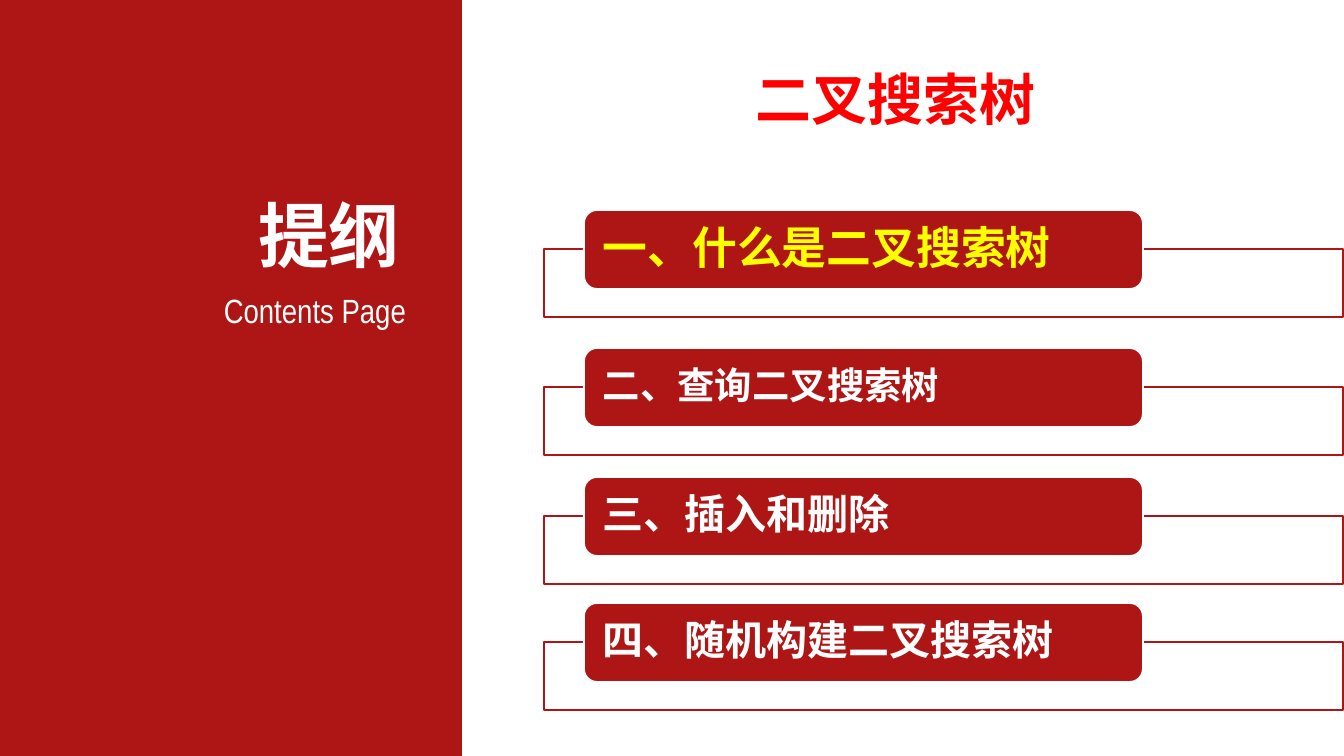
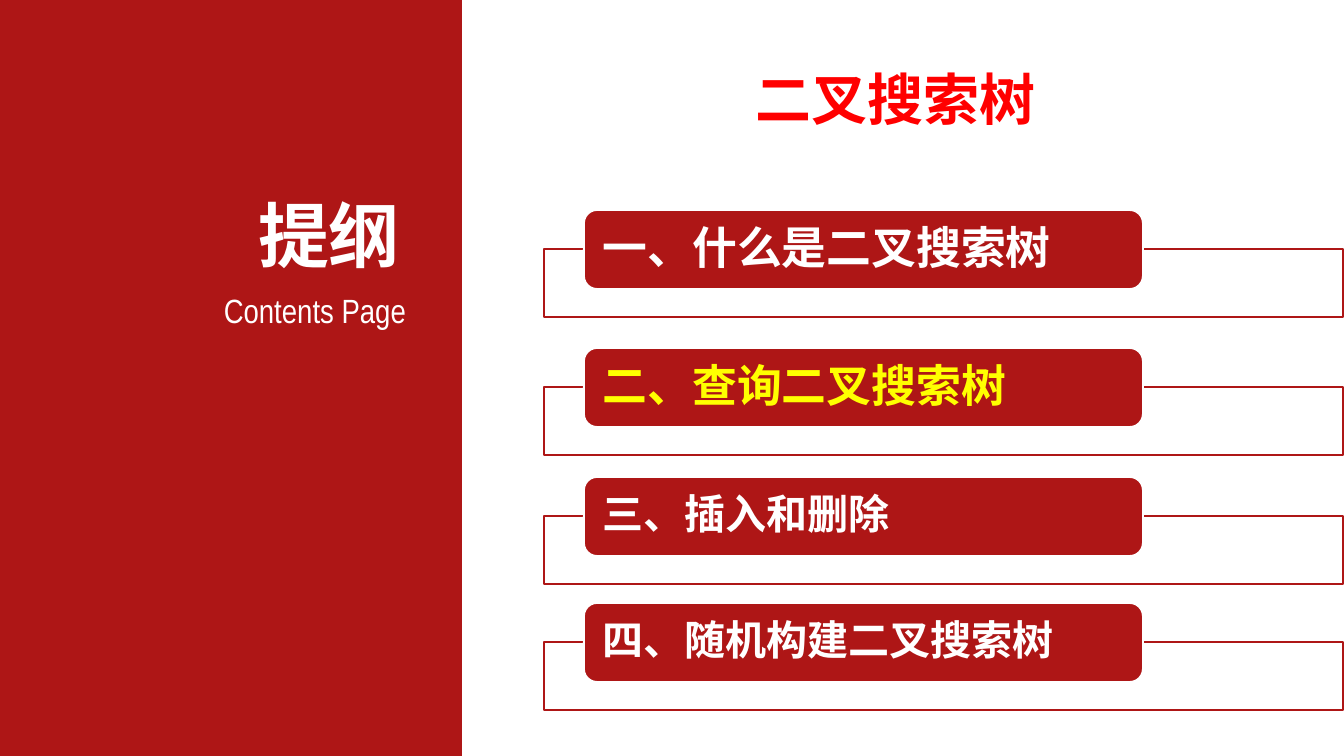
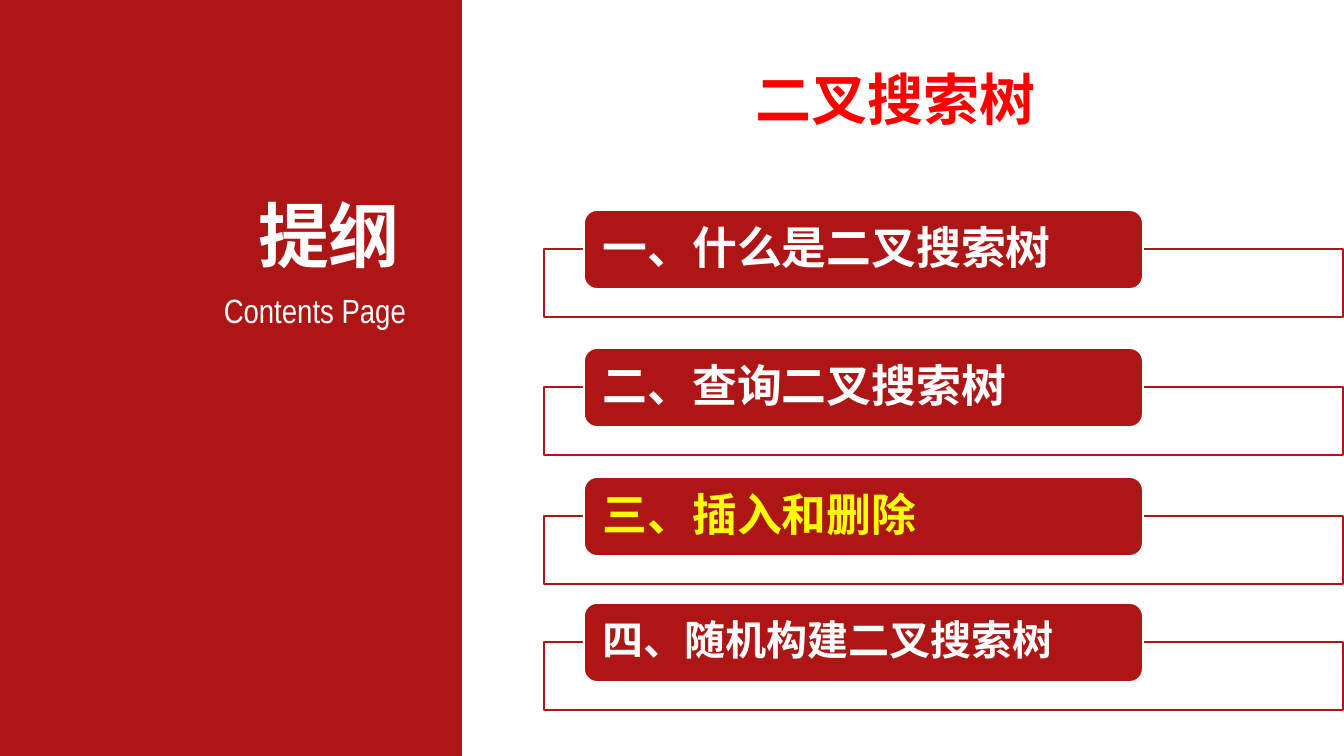
from dataclasses import dataclass

from lxml.etree import SubElement
from pptx import Presentation
from pptx.dml.color import RGBColor
from pptx.enum.shapes import MSO_SHAPE
from pptx.enum.text import MSO_ANCHOR, MSO_AUTO_SIZE, PP_ALIGN
from pptx.oxml.ns import qn
from pptx.shapes.autoshape import Shape
from pptx.slide import Slide
from pptx.util import Emu, Pt

PAGE_WIDTH, PAGE_HEIGHT = 1344, 756
EMU_PER_PX = 9144000 / PAGE_WIDTH

RED = RGBColor(0xAE, 0x16, 0x16)
TITLE_RED = RGBColor(0xFF, 0x00, 0x00)
WHITE = RGBColor(0xFF, 0xFF, 0xFF)
YELLOW = RGBColor(0xFF, 0xFF, 0x00)

HEADING_FONT = "Arial"
CAPTION_FONT = "Arial Narrow"
REACHED_FONT = "Roboto"
CHINESE_FONT = "Noto Sans CJK SC"
REACHED_SIZE = 24

BAND_WIDTH = 462
TAB_RISE = 39


@dataclass(frozen=True)
class Area:
    left: int
    top: int
    width: int
    height: int

    def in_emu(self) -> list[Emu]:
        return [px(n) for n in (self.left, self.top, self.width, self.height)]


@dataclass(frozen=True)
class Chapter:
    text: str
    frame_top: int
    upcoming_size: int


CHAPTERS = (
    Chapter("一、什么是二叉搜索树", 249, 24),
    Chapter("二、查询二叉搜索树", 387, 20),
    Chapter("三、插入和删除", 516, 22),
    Chapter("四、随机构建二叉搜索树", 642, 22),
)


def px(length: int) -> Emu:
    return Emu(round(length * EMU_PER_PX))


def write(box: Shape, text: str, *, size: int, color: RGBColor, font: str,
          align: PP_ALIGN = PP_ALIGN.LEFT, bold: bool = True,
          anchor: MSO_ANCHOR = MSO_ANCHOR.TOP, line_spacing: float = 1.0,
          inset: tuple[int, int] = (10, 5), grow: bool = False) -> None:
    """Put one formatted line in the box; inset is (sides, top and bottom)."""
    frame = box.text_frame
    frame.word_wrap = True
    frame.auto_size = MSO_AUTO_SIZE.SHAPE_TO_FIT_TEXT if grow else MSO_AUTO_SIZE.NONE
    frame.vertical_anchor = anchor
    frame.margin_left = frame.margin_right = px(inset[0])
    frame.margin_top = frame.margin_bottom = px(inset[1])
    para = frame.paragraphs[0]
    para.alignment = align
    para.line_spacing = line_spacing
    span = para.add_run()
    span.text = text
    span.font.size = Pt(size)
    span.font.bold = bold
    span.font.name = font
    span.font.color.rgb = color
    SubElement(span.font._element, qn("a:ea"), typeface=CHINESE_FONT)


def add_box(page: Slide, kind: MSO_SHAPE, area: Area, fill: RGBColor,
            line: RGBColor | None = None) -> Shape:
    box = page.shapes.add_shape(kind, *area.in_emu())
    box.shadow.inherit = False
    box.fill.solid()
    box.fill.fore_color.rgb = fill
    if line is None:
        box.line.fill.background()
    else:
        box.line.color.rgb = line
        box.line.width = Pt(1)
    return box


def set_opacity(box: Shape, percent: int) -> None:
    color = box._element.spPr.find(qn("a:solidFill"))[0]
    SubElement(color, qn("a:alpha"), val=str(percent * 1000))


def add_headings(page: Slide) -> None:
    """Draw the red band with its two captions, and the title beside it."""
    add_box(page, MSO_SHAPE.RECTANGLE, Area(0, 0, BAND_WIDTH, PAGE_HEIGHT), RED)
    caption = page.shapes.add_textbox(*Area(46, 285, 370, 51).in_emu())
    write(caption, "Contents Page", size=18, color=WHITE, font=CAPTION_FONT,
          align=PP_ALIGN.RIGHT, bold=False, grow=True)
    heading = page.shapes.add_textbox(*Area(148, 187, 262, 97).in_emu())
    write(heading, "提纲", size=38, color=WHITE, font=HEADING_FONT,
          align=PP_ALIGN.RIGHT, grow=True)
    title = page.shapes.add_textbox(*Area(BAND_WIDTH, 0, 867, 163).in_emu())
    write(title, "二叉搜索树", size=30, color=TITLE_RED, font=HEADING_FONT,
          align=PP_ALIGN.CENTER, anchor=MSO_ANCHOR.MIDDLE, line_spacing=1.5,
          inset=(13, 7))


def add_chapter(page: Slide, chapter: Chapter, reached: bool, current: bool) -> None:
    frame = add_box(page, MSO_SHAPE.RECTANGLE,
                    Area(544, chapter.frame_top, 799, 68), WHITE, RED)
    set_opacity(frame, 90)
    tab = add_box(page, MSO_SHAPE.ROUNDED_RECTANGLE,
                  Area(584, chapter.frame_top - TAB_RISE, 559, 79), RED, WHITE)
    write(tab, chapter.text,
          size=REACHED_SIZE if reached else chapter.upcoming_size,
          color=YELLOW if current else WHITE,
          font=REACHED_FONT if reached else CHINESE_FONT,
          anchor=MSO_ANCHOR.MIDDLE, line_spacing=0.9, inset=(15, 0))


def main() -> None:
    deck = Presentation()
    deck.slide_width, deck.slide_height = px(PAGE_WIDTH), px(PAGE_HEIGHT)
    blank = deck.slide_layouts[6]
    for current in range(3):
        page = deck.slides.add_slide(blank)
        add_headings(page)
        for index, chapter in enumerate(CHAPTERS):
            add_chapter(page, chapter, index <= current, index == current)
    deck.save("out.pptx")


if __name__ == "__main__":
    main()
